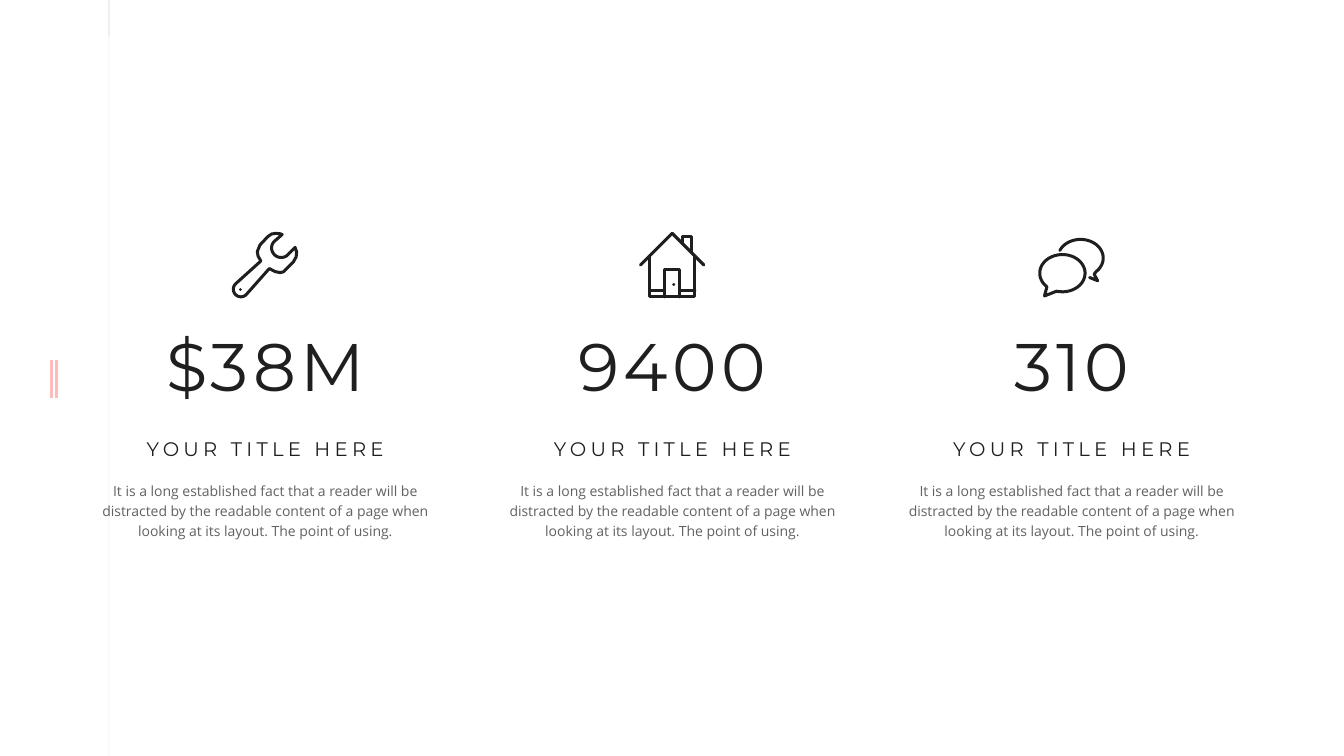
from math import cos, radians, sin

from pptx import Presentation
from pptx.dml.color import RGBColor
from pptx.enum.shapes import MSO_CONNECTOR, MSO_SHAPE
from pptx.enum.text import MSO_AUTO_SIZE, PP_ALIGN
from pptx.oxml.ns import qn
from pptx.oxml.xmlchemy import OxmlElement
from pptx.util import Pt

COLORS = {"ink": "1F1F1F", "accent": "FE1C1D", "paper": "FFFFFF"}

deck = Presentation()
deck.slide_width, deck.slide_height = Pt(960), Pt(540)
page = deck.slides.add_slide(deck.slide_layouts[6])
ink = RGBColor.from_string(COLORS["ink"])


def add_text(text, left, top, height, size, font, line_spacing=0.9, tracking=0):
    box = page.shapes.add_textbox(Pt(left), Pt(top), Pt(255), Pt(height))
    frame = box.text_frame
    frame.word_wrap = True
    frame.auto_size = MSO_AUTO_SIZE.SHAPE_TO_FIT_TEXT
    frame.margin_left = frame.margin_right = 0
    frame.margin_top = frame.margin_bottom = Pt(3.6)
    para = frame.paragraphs[0]
    para.alignment = PP_ALIGN.CENTER
    para.line_spacing = line_spacing
    span = para.add_run()
    span.text = text
    span.font.size = Pt(size)
    span.font.name = font
    span.font.color.rgb = ink
    if tracking:
        span.font._element.set("spc", str(tracking * 100))
    return box


def arc(center_x, center_y, radius_x, radius_y, start, end, steps=40):
    angles = [radians(start + (end - start) * step / steps) for step in range(steps + 1)]
    return [(center_x + radius_x * cos(a), center_y + radius_y * sin(a)) for a in angles]


faded = []
for x, top, bottom, color, width, opacity in [
    (77.8, 0, 540, "ink", 0.5, 20),
    (36.9, 257, 284.4, "accent", 2, 100),
    (40.5, 257, 284.4, "accent", 2, 100),
]:
    rule = page.shapes.add_connector(MSO_CONNECTOR.STRAIGHT, Pt(x), Pt(top), Pt(x), Pt(bottom))
    rule.line.color.rgb = RGBColor.from_string(COLORS[color])
    rule.line.width = Pt(width)
    rule._element.spPr.append(OxmlElement("a:effectLst"))
    faded.append((rule, opacity))

veil = page.shapes.add_shape(MSO_SHAPE.RECTANGLE, Pt(23), Pt(26), Pt(937), Pt(514))
veil.shadow.inherit = False
veil.fill.solid()
veil.fill.fore_color.rgb = RGBColor.from_string(COLORS["paper"])
veil.line.fill.background()
faded.append((veil, 70))

wrench = [
    (
        arc(49, 16, 9.5, 9.5, 220, 50)
        + [(62.8, 15.5), (64.3, 20), (63.8, 25), (61, 30), (53, 38), (51, 39.8)]
        + [(48, 40.5), (43, 39.5), (37.2, 36.5)]
        + arc(9, 57, 7.5, 7.5, 45, 225)
        + [(28.8, 29), (26, 24), (25.3, 19.5), (28, 13), (36, 4.5), (39.5, 2.2)]
        + [(44, 1.5), (48, 2), (50, 2.7)],
        True,
    ),
    ([(8.5, 57), (8.6, 57)], False),
]
house = [
    ([(1.5, 33), (33, 1.5), (64.5, 33)], False),
    ([(10.5, 24), (10.5, 64.5), (55.5, 64.5), (55.5, 24)], False),
    ([(25.5, 64.5), (25.5, 37.5), (40.5, 37.5), (40.5, 64.5)], False),
    ([(10.5, 58.5), (25.5, 58.5)], False),
    ([(40.5, 58.5), (55.5, 58.5)], False),
    ([(43.5, 11), (43.5, 4.5), (52.5, 4.5), (52.5, 20)], False),
    ([(34.5, 52.5), (34.6, 52.5)], False),
]
bubbles = [
    (arc(24, 41, 22.5, 18.5, 133, 465) + [(6.2, 63.6)], True),
    (arc(42, 26, 22.5, 18.5, 204, 407) + [(55.5, 42), (59, 48.5), (51, 45.3)], False),
]

BLURB = (
    "It is a long established fact that a reader will be distracted by the readable "
    "content of a page when looking at its layout. The point of using."
)

for left, figure, icon in [
    (62, "$38M", wrench),
    (352.8, "9400", house),
    (638, "310", bubbles),
]:
    builder = page.shapes.build_freeform(*[v * 72 for v in icon[0][0][0]], scale=Pt(0.01))
    for number, (points, closed) in enumerate(icon):
        scaled = [(x * 72, y * 72) for x, y in points]
        if number:
            builder.move_to(*scaled[0])
        builder.add_line_segments(scaled[1:], close=closed)
    drawing = builder.convert_to_shape(Pt(left + 103.6), Pt(165.6))
    drawing.shadow.inherit = False
    drawing.fill.background()
    drawing.line.color.rgb = ink
    drawing.line.width = Pt(2.16)
    outline = drawing._element.spPr.find(qn("a:ln"))
    outline.set("cap", "rnd")
    outline.append(OxmlElement("a:round"))

    add_text(figure, left, 234.7, 61.2, 48, "Montserrat", tracking=3)
    add_text("YOUR TITLE HERE", left, 310.3, 23, 14, "Montserrat", tracking=3)
    blurb = add_text(BLURB, left, 338.4, 49.7, 10, "Open Sans", line_spacing=1.2)
    faded.append((blurb, 70))

for item, opacity in faded:
    for color_node in item._element.iter(qn("a:srgbClr")):
        alpha = OxmlElement("a:alpha")
        alpha.set("val", str(opacity * 1000))
        color_node.append(alpha)

deck.save("out.pptx")
